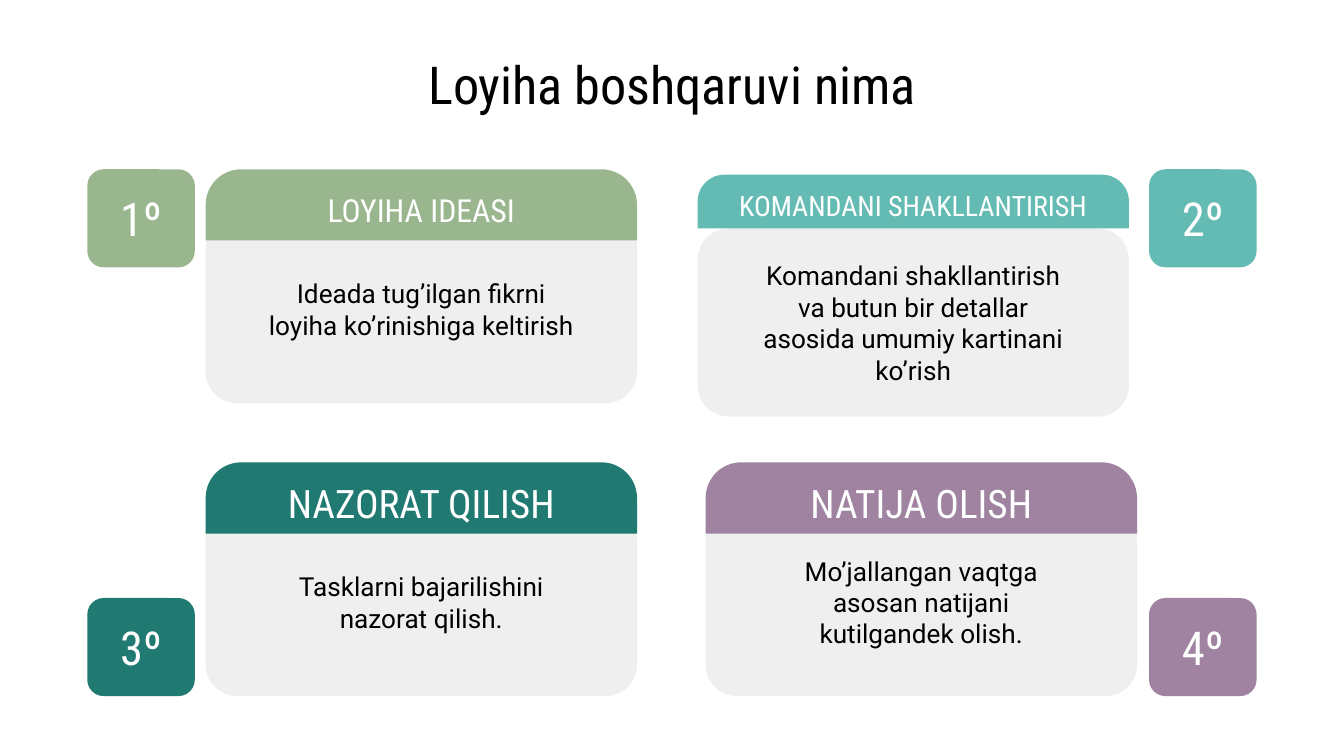
from dataclasses import dataclass

from pptx import Presentation
from pptx.dml import color as c
from pptx.enum import shapes, text
from pptx.util import Inches, Pt


@dataclass(frozen=True)
class Theme:
    black: str = "000000"
    white: str = "FFFFFF"
    gray: str = "EFEFEF"
    green: str = "99B68E"
    aqua: str = "64BBB3"
    teal: str = "217A72"
    mauve: str = "9F83A1"
    head: str = "Roboto Condensed"
    body: str = "Roboto"
    title: int = 28
    num: int = 25
    large: int = 21
    mid: int = 17
    small: int = 15
    note: int = 14


@dataclass(frozen=True)
class Card:
    num: str
    head: str
    note: str
    fill: str
    size: int
    left: float
    top: float
    tab: float  # height of the header
    body: float  # top of the body
    tag: tuple[float, float]  # left and top of the number


T = Theme()
WIDE, TALL = 3.21, 1.4
TAG = (0.8, 0.73)

CARDS = [
    Card("4º", "NATIJA OLISH",
         "Mo’jallangan vaqtga asosan natijani kutilgandek olish.",
         T.mauve, T.large, 5.25, 3.44, 0.53, 3.78, (8.55, 4.45)),
    Card("1º", "LOYIHA IDEASI",
         "Ideada tug’ilgan fikrni loyiha ko’rinishiga keltirish",
         T.green, T.mid, 1.53, 1.26, 0.53, 1.6, (0.65, 1.26)),
    Card("3º", "NAZORAT QILISH",
         "Tasklarni bajarilishini nazorat qilish.",
         T.teal, T.large, 1.53, 3.44, 0.53, 3.78, (0.65, 4.45)),
    Card("2º", "KOMANDANI SHAKLLANTIRISH",
         "Komandani shakllantirish va butun bir detallar "
         "asosida umumiy kartinani ko’rish",
         T.aqua, T.small, 5.19, 1.3, 0.4, 1.7, (8.55, 1.26)),
]


def write(shape, words: str, *, size: int, font: str = T.head,
          color: str = T.white, side: float = 0.1) -> None:
    """Set centred text with its format in a shape."""
    frame = shape.text_frame
    frame.word_wrap = True
    frame.auto_size = text.MSO_AUTO_SIZE.NONE
    frame.vertical_anchor = text.MSO_ANCHOR.MIDDLE
    frame.margin_left = frame.margin_right = Inches(side)
    frame.margin_top = frame.margin_bottom = Inches(0.1)
    line = frame.paragraphs[0]
    line.alignment = text.PP_ALIGN.CENTER
    line.line_spacing = 1.0
    run = line.add_run()
    run.text = words
    run.font.size = Pt(size)
    run.font.name = font
    run.font.color.rgb = c.RGBColor.from_string(color)


def block(slide, kind, box: tuple[float, float, float, float],
          fill: str, *bends: float):
    """Add a flat filled shape without outline."""
    shape = slide.shapes.add_shape(kind, *map(Inches, box))
    shape.shadow.inherit = False
    shape.fill.solid()
    shape.fill.fore_color.rgb = c.RGBColor.from_string(fill)
    shape.line.fill.background()
    for i, bend in enumerate(bends):
        shape.adjustments[i] = bend
    return shape


def draw(slide, card: Card) -> None:
    """Draw one step: body, header and number."""
    kind = shapes.MSO_SHAPE
    # Body, then the header over its top edge
    body = block(slide, kind.ROUNDED_RECTANGLE,
                 (card.left, card.body, WIDE, TALL), T.gray, 0.167)
    write(body, card.note, size=T.note, font=T.body, color=T.black, side=0.4)
    head = block(slide, kind.ROUND_2_SAME_RECTANGLE,
                 (card.left, card.top, WIDE, card.tab), card.fill, 0.5, 0)
    write(head, card.head, size=card.size)
    # Number
    tag = block(slide, kind.ROUNDED_RECTANGLE, card.tag + TAG,
                card.fill, 0.167)
    write(tag, card.num, size=T.num)


def main() -> None:
    # Slide in 16:9
    deck = Presentation()
    deck.slide_width = Inches(10)
    deck.slide_height = Inches(10 * 9 / 16)
    slide = deck.slides.add_slide(deck.slide_layouts[5])

    # Title
    title = slide.shapes.title
    title.left, title.top = Inches(0.5), Inches(0.45)
    title.width, title.height = Inches(9), Inches(0.35)
    write(title, "Loyiha boshqaruvi nima", size=T.title, color=T.black)

    # Four steps
    for card in CARDS:
        draw(slide, card)

    deck.save("out.pptx")


if __name__ == "__main__":
    main()
